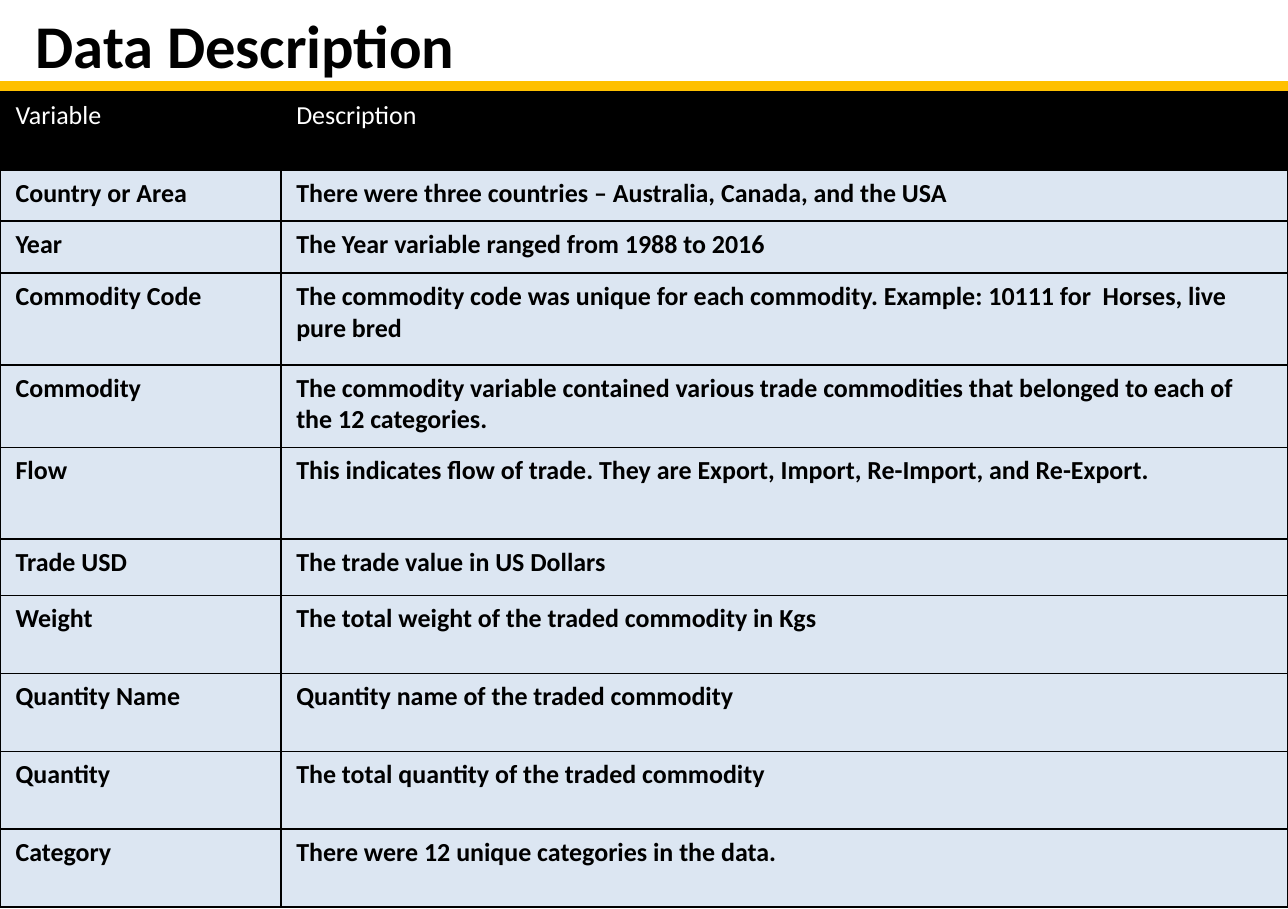
"""Builds the Data Description slide: a title, a gold rule and a table of variables."""
from lxml import etree
from pptx import Presentation
from pptx import util as u
from pptx.dml.color import RGBColor
from pptx.enum import shapes
from pptx.oxml import ns


def paint(fill, color):
    fill.solid()
    fill.fore_color.rgb = RGBColor.from_string(color)


def add_borders(cell, color, points):
    properties = cell._tc.get_or_add_tcPr()
    for side in ("lnL", "lnR", "lnT", "lnB"):
        line = etree.SubElement(properties, ns.qn(f"a:{side}"), w=str(u.Pt(points)))
        solid = etree.SubElement(line, ns.qn("a:solidFill"))
        etree.SubElement(solid, ns.qn("a:srgbClr"), val=color)


BLACK, WHITE, GOLD, PALE_BLUE = "000000", "FFFFFF", "FFC000", "DCE6F2"
FONT = "Calibri"

variables = [
    ("Variable", "Description", 0.5),
    ("Country or Area", "There were three countries – Australia, Canada, and the USA", 0.33),
    ("Year", "The Year variable ranged from 1988 to 2016", 0.33),
    ("Commodity Code", "The commodity code was unique for each commodity. "
     "Example: 10111 for  Horses, live pure bred", 0.59),
    ("Commodity", "The commodity variable contained various trade commodities "
     "that belonged to each of the 12 categories.", 0.53),
    ("Flow", "This indicates flow of trade. They are Export, Import, Re-Import, and Re-Export.", 0.59),
    ("Trade USD", "The trade value in US Dollars", 0.36),
    ("Weight", "The total weight of the traded commodity in Kgs", 0.5),
    ("Quantity Name", "Quantity name of the traded commodity", 0.5),
    ("Quantity", "The total quantity of the traded commodity", 0.5),
    ("Category", "There were 12 unique categories in the data.", 0.5),
]

presentation = Presentation()
presentation.slide_width, presentation.slide_height = u.Inches(8.26), u.Inches(5.83)
slide = presentation.slides.add_slide(presentation.slide_layouts[6])
width = presentation.slide_width
rule_top, table_top = u.Inches(0.52), u.Inches(0.59)

rule = slide.shapes.add_shape(shapes.MSO_SHAPE.RECTANGLE, 0, rule_top, width, table_top - rule_top)
rule.shadow.inherit = False
paint(rule.fill, GOLD)
rule.line.fill.background()

title = slide.shapes.add_textbox(u.Inches(0.13), 0, u.Inches(4.42), u.Inches(0.57))
title.text_frame.word_wrap = True
title.text_frame.text = "Data Description"
paragraph = title.text_frame.paragraphs[0]
paragraph.font.name, paragraph.font.size, paragraph.font.bold = FONT, u.Pt(28), True
paint(paragraph.font.fill, BLACK)

table_height = presentation.slide_height - table_top
table = slide.shapes.add_table(len(variables), 2, 0, table_top, width, table_height).table
table.columns[0].width = u.Inches(1.8)
table.columns[1].width = width - u.Inches(1.8)

for index, (name, description, height) in enumerate(variables):
    is_header = index == 0
    table.rows[index].height = u.Inches(height)
    for cell, wording in zip(table.rows[index].cells, (name, description)):
        add_borders(cell, BLACK, 1)
        paint(cell.fill, BLACK if is_header else PALE_BLUE)
        cell.text = wording
        font = cell.text_frame.paragraphs[0].font
        font.name, font.size, font.bold = FONT, u.Pt(12), not is_header
        paint(font.fill, WHITE if is_header else BLACK)

presentation.save("out.pptx")
